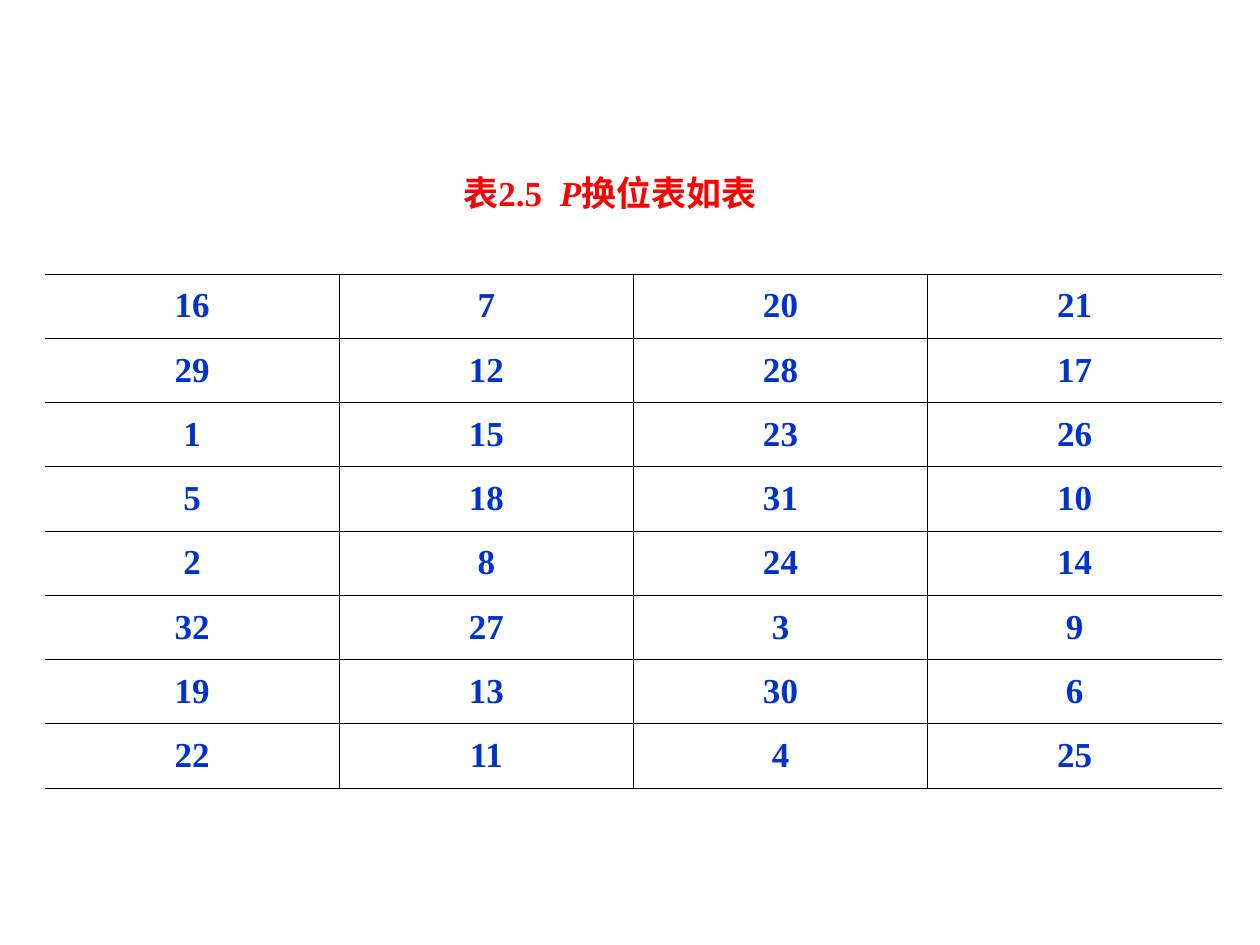
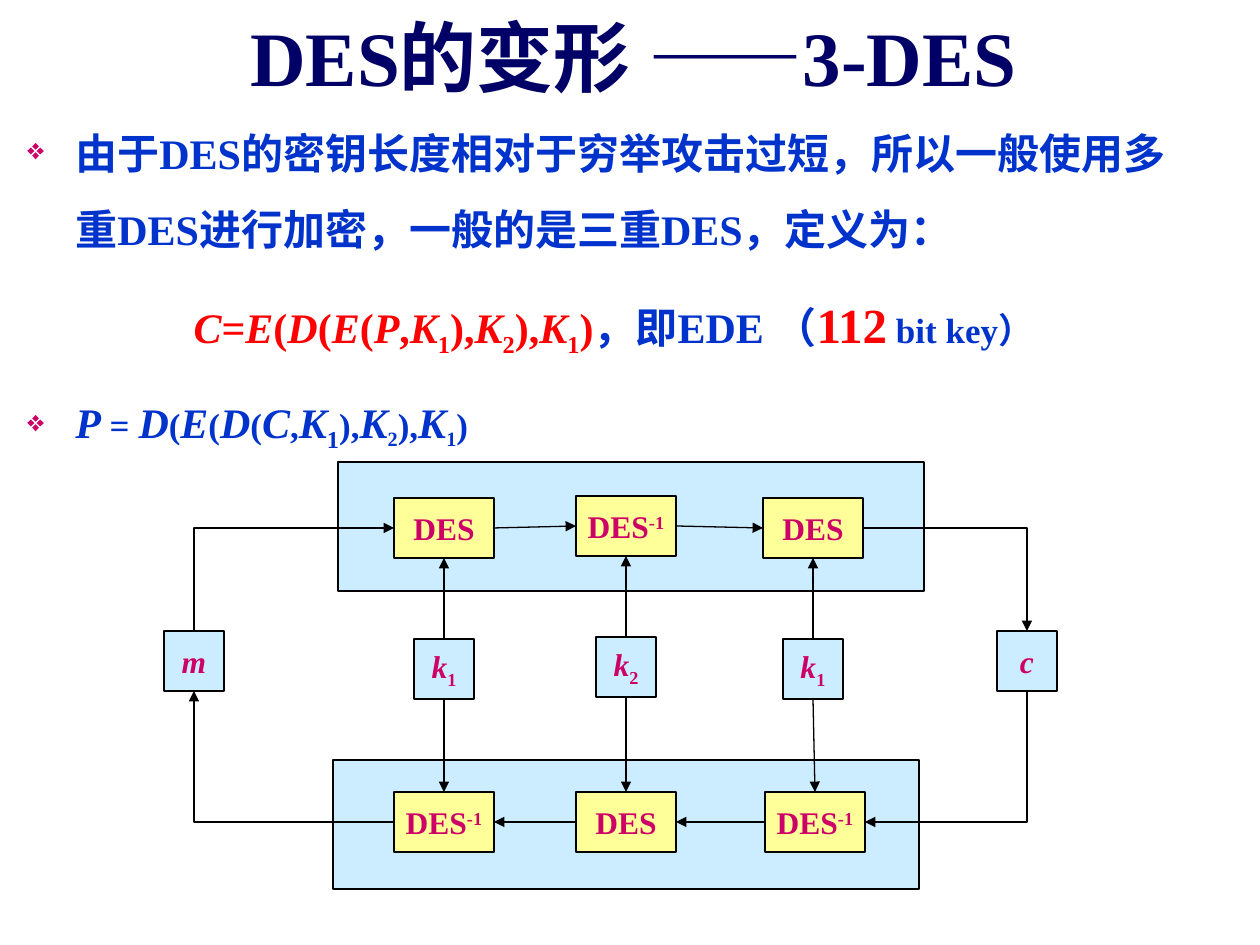
from dataclasses import dataclass
from itertools import groupby
from typing import NamedTuple

from lxml import etree
from pptx import Presentation
from pptx import util as u
from pptx.dml import color as c
from pptx.enum import lang, shapes, text
from pptx.oxml import ns

PX = 914400 / 126
FONT = "Times New Roman"
BLACK, BLUE, RED = "000000", "0033CC", "FF0000"
NAVY, PINK, SKY, CREAM = "000066", "CC0066", "CCECFF", "FFFF99"
TOP, LEFT, BOTTOM, RIGHT = range(4)
MID = text.PP_ALIGN.CENTER


class Run(NamedTuple):
    text: str
    style: dict = {}


@dataclass
class Box:
    name: str
    x: int
    y: int
    runs: list[Run]
    wide: int = 60
    fill: str = SKY


@dataclass
class Link:
    start: str
    out: int
    end: str
    into: int
    bent: bool = False
    mark: str = "tailEnd"


DES = [Run("DES")]
INV = [Run("DES"), Run("-1", {"base": 30})]


def sign(name: str, sub: str = "") -> list[Run]:
    runs = [Run(name, {"slant": True})]
    return runs + [Run(sub, {"base": -25})] if sub else runs


BANDS = [(338, 462), (333, 760)]
BOXES = [
    Box("enc1", 394, 498, DES, 100, CREAM),
    Box("enc2", 576, 496, INV, 100, CREAM),
    Box("enc3", 763, 498, DES, 100, CREAM),
    Box("dec1", 394, 792, INV, 100, CREAM),
    Box("dec2", 576, 792, DES, 100, CREAM),
    Box("dec3", 765, 792, INV, 100, CREAM),
    Box("plain", 164, 631, sign("m")),
    Box("code", 997, 631, sign("c")),
    Box("key1", 414, 639, sign("k", "1")),
    Box("key2", 596, 637, sign("k", "2")),
    Box("key3", 783, 639, sign("k", "1")),
]
LINKS = [
    Link("enc1", LEFT, "plain", TOP, True, "headEnd"),
    Link("dec1", LEFT, "plain", BOTTOM, True),
    Link("enc3", RIGHT, "code", TOP, True),
    Link("dec3", RIGHT, "code", BOTTOM, True, "headEnd"),
]
for n in (1, 2):
    LINKS.append(Link(f"enc{n}", RIGHT, f"enc{n + 1}", LEFT))
    LINKS.append(Link(f"dec{n + 1}", LEFT, f"dec{n}", RIGHT))
for n in (1, 2, 3):
    LINKS.append(Link(f"key{n}", TOP, f"enc{n}", BOTTOM))
    LINKS.append(Link(f"key{n}", BOTTOM, f"dec{n}", TOP))

ROWS = [
    (16, 7, 20, 21), (29, 12, 28, 17), (1, 15, 23, 26), (5, 18, 31, 10),
    (2, 8, 24, 14), (32, 27, 3, 9), (19, 13, 30, 6), (22, 11, 4, 25),
]


def emu(*sizes: int) -> list[int]:
    return [round(size * PX) for size in sizes]


def rgb(code: str) -> c.RGBColor:
    return c.RGBColor.from_string(code)


def node(owner, tag: str, **attrs: str):
    return etree.SubElement(owner, ns.qn(tag), attrs)


def write(par, words: str, *, size: int = 24, color: str = BLUE,
          slant: bool = False, base: int = 0) -> None:
    run = par.add_run()
    run.text = words
    font = run.font
    font.name, font.size, font.bold, font.italic = FONT, u.Pt(size), True, slant
    font.color.rgb = rgb(color)
    font.language_id = lang.MSO_LANGUAGE_ID.SIMPLIFIED_CHINESE
    if base:
        run._r.get_or_add_rPr().set("baseline", str(base * 1000))


def fill_par(par, runs: list[Run], **style) -> None:
    for run in runs:
        write(par, run.text, **{**style, **run.style})


def kind(char: str) -> str:
    return "name" if char.isalpha() else "sub" if char.isdigit() else "sign"


def form(words: str, big: int, small: int, color: str) -> list[Run]:
    styles = {
        "name": {"size": big, "slant": True},
        "sub": {"size": small, "base": -25},
        "sign": {"size": small},
    }
    return [Run("".join(part), {"color": color, **styles[key]})
            for key, part in groupby(words, kind)]


def add_text(slide, x: int, y: int, wide: int, high: int):
    frame = slide.shapes.add_textbox(*emu(x, y, wide, high)).text_frame
    frame.word_wrap = True
    return frame


def add_rect(slide, x: int, y: int, wide: int, high: int, fill: str):
    rect = slide.shapes.add_shape(
        shapes.MSO_SHAPE.RECTANGLE, *emu(x, y, wide, high))
    rect.shadow.inherit = False
    rect.fill.solid()
    rect.fill.fore_color.rgb = rgb(fill)
    rect.line.color.rgb = rgb(BLACK)
    rect.line.width = u.Pt(0.75)
    return rect


def add_box(slide, box: Box):
    rect = add_rect(slide, box.x, box.y, box.wide, 60, box.fill)
    frame = rect.text_frame
    frame.word_wrap = False
    frame.vertical_anchor = text.MSO_ANCHOR.MIDDLE
    par = frame.paragraphs[0]
    par.alignment = MID
    fill_par(par, box.runs, size=18, color=PINK)
    return rect


def add_link(slide, link: Link, rects: dict) -> None:
    style = shapes.MSO_CONNECTOR.ELBOW if link.bent else shapes.MSO_CONNECTOR.STRAIGHT
    line = slide.shapes.add_connector(style, 0, 0, 0, 0)
    line.begin_connect(rects[link.start], link.out)
    line.end_connect(rects[link.end], link.into)
    line.line.color.rgb = rgb(BLACK)
    line.line.width = u.Pt(0.75)
    props = line._element.spPr
    if link.bent:
        props.find(ns.qn("a:prstGeom")).set("prst", "bentConnector2")
    node(line.line._get_or_add_ln(), f"a:{link.mark}", type="triangle")
    node(props, "a:effectLst")


def add_edge(props, side: str, shown: bool) -> None:
    edge = node(props, f"a:ln{side}", w=str(u.Pt(0.45)))
    if shown:
        node(node(edge, "a:solidFill"), "a:srgbClr", val=BLACK)
    else:
        node(edge, "a:noFill")


def add_grid(slide) -> None:
    last = len(ROWS[0]) - 1
    grid = slide.shapes.add_table(
        len(ROWS), last + 1, *emu(45, 274, 1177, 514)).table
    grid.first_row = grid.horz_banding = False
    for r, row in enumerate(ROWS):
        for k, value in enumerate(row):
            cell = grid.cell(r, k)
            cell.vertical_anchor = text.MSO_ANCHOR.MIDDLE
            par = cell.text_frame.paragraphs[0]
            par.alignment = MID
            write(par, str(value), size=20)
            props = cell._tc.get_or_add_tcPr()
            for side, shown in zip("LRTB", (k > 0, k < last, True, True)):
                add_edge(props, side, shown)
            cell.fill.background()


def add_par(frame, runs: list[Run], first: bool, bullet: bool) -> None:
    par = frame.paragraphs[0] if first else frame.add_paragraph()
    par.line_spacing = 1.5
    par.space_before = u.Pt(0 if first else 5)
    props = par._p.get_or_add_pPr()
    wide = emu(48)[0]
    props.set("marL", str(wide))
    props.set("indent", str(-wide))
    if bullet:
        node(node(props, "a:buClr"), "a:srgbClr", val=PINK)
        node(props, "a:buSzPct", val="70000")
        node(props, "a:buChar", char="❖")
    else:
        node(props, "a:buNone")
        par.alignment = MID
    fill_par(par, runs)


def draw_swap(slide) -> None:
    par = add_text(slide, 451, 165, 417, 55).paragraphs[0]
    runs = [Run("表2.5  "), Run("P", {"slant": True}), Run("换位表如表")]
    fill_par(par, runs, size=20, color=RED)
    add_grid(slide)


def draw_triple(slide) -> None:
    body = add_text(slide, 15, 96, 1197, 348)
    add_par(body, [Run("由于DES的密钥长度相对于穷举攻击过短，所以一般使用多重DES进行加密，"
                       "一般的是三重DES，定义为：")], True, True)
    add_par(body, form("C=E(D(E(P,K1),K2),K1)", 24, 24, RED) + [
        Run("，即EDE （"),
        Run("112", {"size": 28, "color": RED}),
        Run(" bit key）", {"size": 20}),
    ], False, False)
    add_par(body, form("P = D(E(D(C,K", 24, 20, BLUE)
            + [Run("1", {"base": -25})]
            + form("),K2),K1)", 24, 20, BLUE), False, True)
    for x, y in BANDS:
        add_rect(slide, x, y, 586, 129, SKY)
    rects = {box.name: add_box(slide, box) for box in BOXES}
    for link in LINKS:
        add_link(slide, link, rects)
    title = add_text(slide, 45, 16, 1177, 79)
    title.vertical_anchor = text.MSO_ANCHOR.MIDDLE
    title.paragraphs[0].alignment = MID
    write(title.paragraphs[0], "DES的变形 ——3-DES", size=44, color=NAVY)


def main() -> None:
    deck = Presentation()
    deck.slide_width, deck.slide_height = emu(1260, 945)
    for draw in (draw_swap, draw_triple):
        draw(deck.slides.add_slide(deck.slide_layouts[6]))
    deck.save("out.pptx")


if __name__ == "__main__":
    main()
